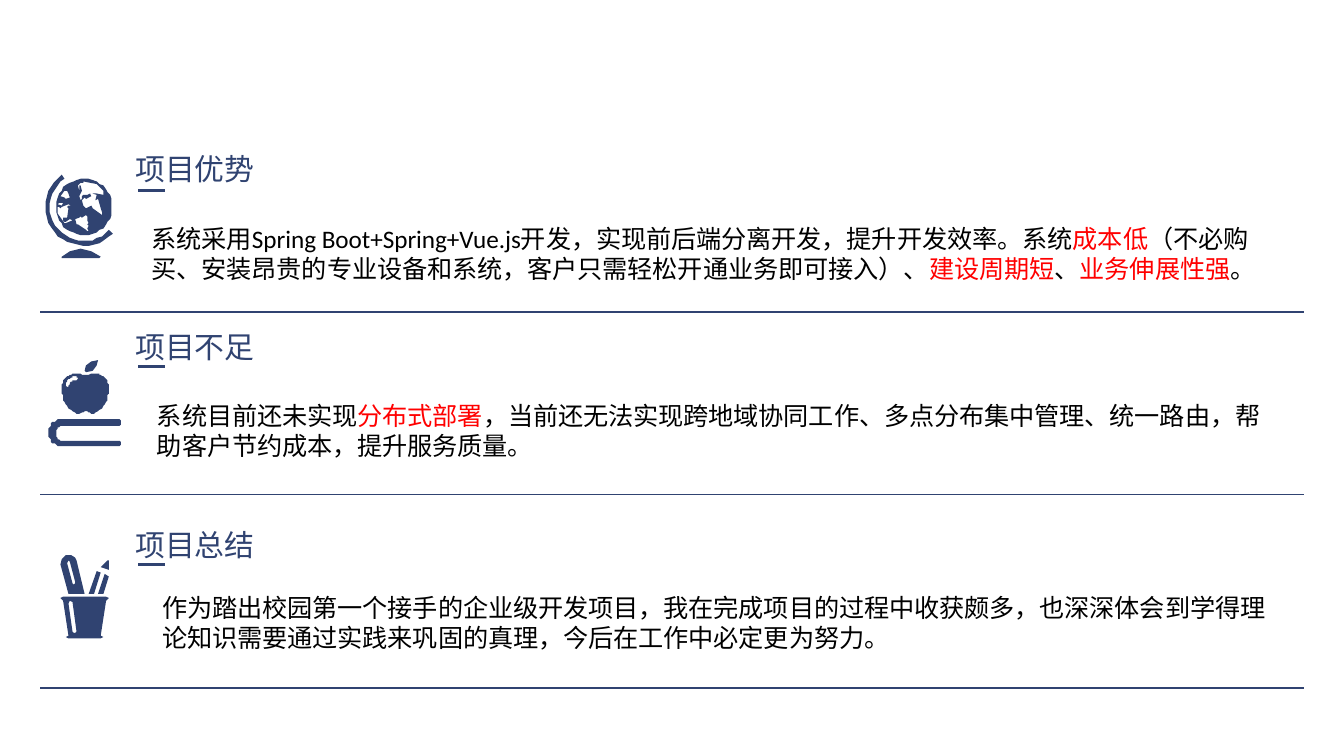
from dataclasses import dataclass
from math import cos, radians, sin

from lxml.etree import SubElement
from pptx import Presentation
from pptx.dml.color import RGBColor
from pptx.enum.lang import MSO_LANGUAGE_ID
from pptx.enum.shapes import MSO_CONNECTOR
from pptx.enum.text import MSO_AUTO_SIZE
from pptx.oxml.ns import qn
from pptx.slide import Slide
from pptx.text.text import _Paragraph
from pptx.util import Pt

NAVY = RGBColor(0x30, 0x43, 0x71)
RED = RGBColor(0xFF, 0x00, 0x00)
BLACK = RGBColor(0x00, 0x00, 0x00)
HAN = "Noto Sans CJK SC"
LATIN = "Calibri"
UNIT = 0.72

Points = list[tuple[float, float]]


@dataclass
class Icon:
    left: float
    top: float
    paths: list[Points]


@dataclass
class Part:
    title: str
    top: float
    dash: float
    rule: float
    box: tuple[float, float, float]
    runs: list[tuple[str, RGBColor]]
    icon: Icon


def arc(x: float, y: float, size: float, start: int, end: int) -> Points:
    count = max(6, abs(end - start) // 8)
    turns = [radians(start + (end - start) * i / count) for i in range(count + 1)]
    return [(x + size * cos(t), y + size * sin(t)) for t in turns]


def smooth(knots: Points, steps: int = 6) -> Points:
    curve = []
    for i in range(len(knots)):
        a, b, c, d = (knots[(i + k) % len(knots)] for k in range(-1, 3))
        for t in (n / steps for n in range(steps)):
            curve.append(tuple(
                (2 * q + (r - p) * t + (2 * p - 5 * q + 4 * r - s) * t ** 2
                 + (3 * q - p - 3 * r + s) * t ** 3) / 2
                for p, q, r, s in zip(a, b, c, d)))
    return curve


GLOBE = Icon(23.76, 93.6, [
    [(13, 62), (13, 61), (19, 57), (27, 55), (35, 57), (42, 61), (41, 62)],
    arc(29.5, 24, 21, 0, 360),
    arc(29.5, 24, 28.8, 236, 43) + arc(29.5, 24, 25.4, 43, 236),
    [(25, 8), (26, 12), (26, 8), (27, 8), (28, 12), (27, 14), (26, 16),
     (27, 19), (28, 18), (28, 16), (29, 15), (32, 15), (34, 14), (35, 16),
     (31, 18), (30, 17), (28, 19), (29, 23), (31, 25), (35, 23), (36, 25),
     (43, 30), (43, 28), (42, 25), (40, 18), (38, 19), (39, 15), (36, 14),
     (39, 14), (44, 15), (44, 12), (39, 7), (29, 5), (29, 6), (27, 6)],
    [(23, 33), (24, 37), (25, 37), (31, 41), (32, 42), (33, 42), (32, 40),
     (33, 38), (32, 37), (33, 36), (32, 34), (32, 31), (31, 30), (28, 32),
     (27, 31), (26, 32)],
    [(17, 24), (18, 23), (20, 23), (18, 22), (13, 24), (12, 25), (11, 24),
     (10, 24), (10, 29), (15, 36), (16, 36), (21, 34), (19, 33), (16, 35),
     (15, 35), (14, 34), (14, 32), (17, 32), (18, 25)],
    [(15, 12), (12, 16), (15, 17), (16, 18), (19, 17), (18, 14), (17, 12)],
    [(10, 22), (13, 23), (14, 21), (11, 21)],
])
APPLE = Icon(25.92, 192.96, [
    arc(10, 54, 10, 270, 90) + arc(52, 62, 2, 90, -90)
    + arc(11, 54.5, 5.5, 90, 270) + arc(52, 46.5, 2.5, 90, -90),
    [(27, 8), (28, 4), (32, 1), (37, 0), (36, 4), (33, 8), (28, 9)],
    smooth([(44, 16), (40, 11.5), (35, 10), (28, 11), (20, 10), (14, 12),
            (11, 16), (10, 23), (13, 33), (21, 40), (28, 38), (34, 40),
            (42, 33), (45, 23)]),
    smooth([(20, 15), (17, 16), (15, 19), (14, 20), (13, 18), (15, 14),
            (20, 12), (22, 14)]),
])
CUP = Icon(32.4, 296.64, [
    [(33, 15), (36, 17), (32, 30), (28, 30)],
    [(36, 5), (35, 5), (30, 10), (36, 12)],
    [(25, 30), (30, 14), (27, 13), (21, 30)],
    [(0, 8), (1, 4), (4, 1), (8, 1), (11, 3), (12, 5), (18, 30), (6, 30)],
    [(5, 7), (9, 22), (10, 23), (11, 22), (11, 21), (7, 6), (6, 5)],
    [(34, 32), (2, 32), (0, 33), (2, 35), (6, 61), (4, 62), (6, 63),
     (30, 63), (32, 62), (30, 61), (34, 35), (36, 33)],
    [(10, 59), (9, 58), (6, 37), (7, 35), (9, 36), (12, 58), (11, 59)],
])

PARTS = [
    Part("项目优势", 77.04, 102.24, 167.04, (74.16, 115.92, 612), [
        ("系统采用Spring Boot+Spring+Vue.js开发，实现前后端分离开发，提升开发效率。系统", BLACK),
        ("成本低", RED),
        ("（不必购买、安装昂贵的专业设备和系统，客户只需轻松开通业务即可接入）、", BLACK),
        ("建设周期短", RED),
        ("、", BLACK),
        ("业务伸展性强", RED),
        ("。", BLACK),
    ], GLOBE),
    Part("项目不足", 172.8, 196.56, 264.96, (77.04, 210.96, 612), [
        ("系统目前还未实现", BLACK),
        ("分布式部署", RED),
        ("，当前还无法实现跨地域协同工作、多点分布集中管理、统一路由，"
         "帮助客户节约成本，提升服务质量。", BLACK),
    ], APPLE),
    Part("项目总结", 278.64, 302.4, 368.64, (79.92, 313.92, 616.32), [
        ("作为踏出校园第一个接手的企业级开发项目，我在完成项目的过程中收获颇多，"
         "也深深体会到学得理论知识需要通过实践来巩固的真理，今后在工作中必定更为努力。", BLACK),
    ], CUP),
]


def add_line(slide: Slide, left: float, right: float, y: float, width: float) -> None:
    line = slide.shapes.add_connector(
        MSO_CONNECTOR.STRAIGHT, Pt(left), Pt(y), Pt(right), Pt(y))
    line.line.color.rgb = NAVY
    line.line.width = Pt(width)
    SubElement(line._element.spPr, qn("a:effectLst"))


def add_text(slide: Slide, left: float, top: float, width: float,
             height: float, wrap: bool) -> _Paragraph:
    box = slide.shapes.add_textbox(Pt(left), Pt(top), Pt(width), Pt(height))
    box.text_frame.word_wrap = wrap
    box.text_frame.auto_size = MSO_AUTO_SIZE.SHAPE_TO_FIT_TEXT
    return box.text_frame.paragraphs[0]


def set_font(para: _Paragraph, name: str, size: float) -> None:
    para.font.name = name
    para.font.size = Pt(size)
    para.font.language_id = MSO_LANGUAGE_ID.SIMPLIFIED_CHINESE
    base = para._p.pPr.find(qn("a:defRPr"))
    SubElement(base, qn("a:ea"), typeface=HAN)


def add_icon(slide: Slide, icon: Icon) -> None:
    first, *rest = icon.paths
    pen = slide.shapes.build_freeform(*first[0], scale=Pt(UNIT))
    pen.add_line_segments(first[1:], close=True)
    for path in rest:
        pen.move_to(*path[0])
        pen.add_line_segments(path[1:], close=True)
    shape = pen.convert_to_shape(Pt(icon.left), Pt(icon.top))
    shape.shadow.inherit = False
    shape.fill.solid()
    shape.fill.fore_color.rgb = NAVY
    shape.line.fill.background()


def add_part(slide: Slide, part: Part) -> None:
    add_line(slide, 21.6, 698.4, part.rule, 1)
    head = add_text(slide, 65.52, part.top, 79.2, 26.64, False)
    head.text = part.title
    set_font(head, HAN, 16)
    head.font.color.rgb = NAVY
    add_line(slide, 74.16, 88.56, part.dash, 1.5)
    add_icon(slide, part.icon)
    body = add_text(slide, *part.box, 40.32, True)
    set_font(body, LATIN, 13.5)
    for text, color in part.runs:
        run = body.add_run()
        run.text = text
        run.font.color.rgb = color


def main() -> None:
    deck = Presentation()
    deck.slide_width, deck.slide_height = Pt(720), Pt(405)
    slide = deck.slides.add_slide(deck.slide_layouts[6])
    for part in PARTS:
        add_part(slide, part)
    deck.save("out.pptx")


if __name__ == "__main__":
    main()
